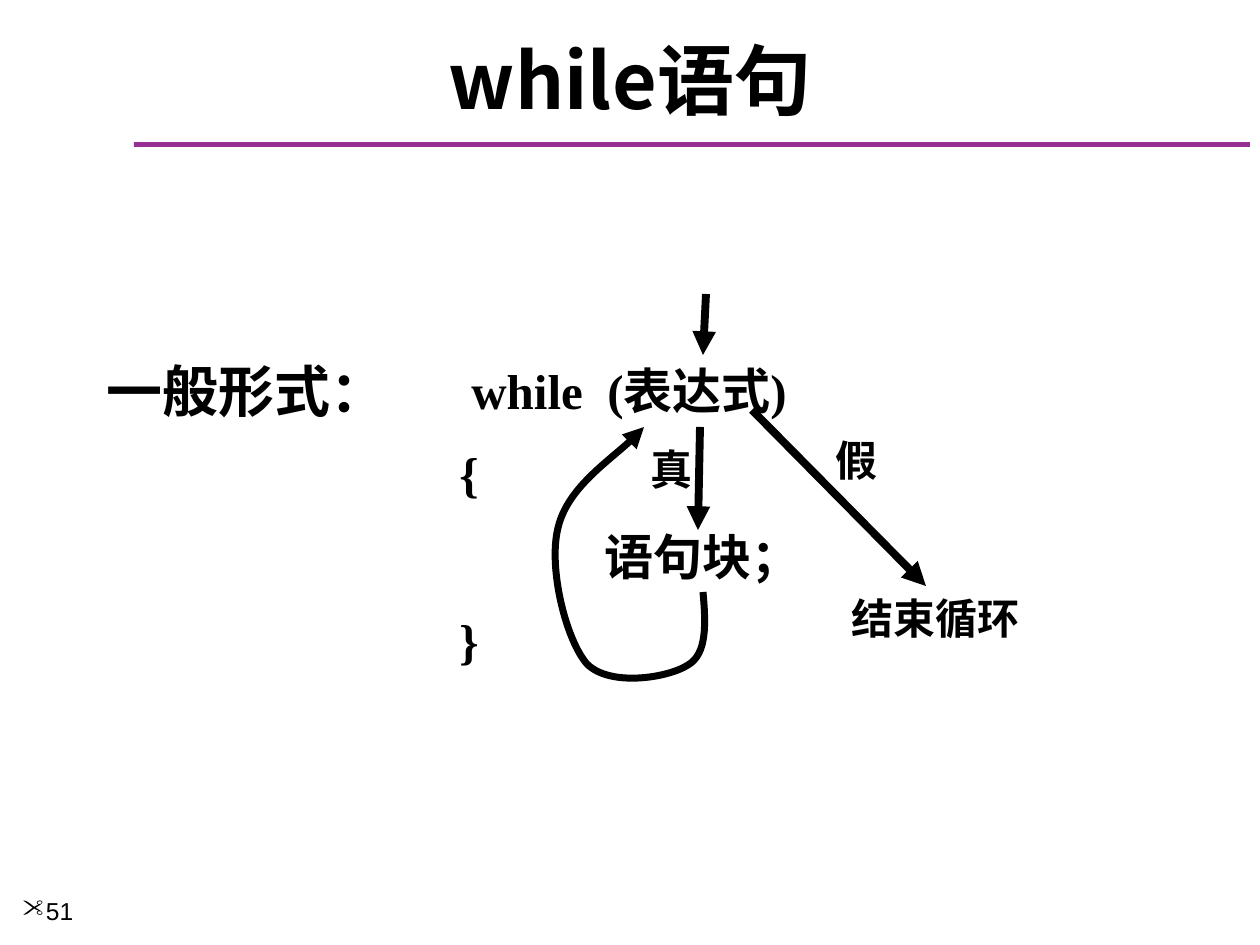
from dataclasses import dataclass

from lxml import etree
from pptx import Presentation
from pptx.dml.color import RGBColor
from pptx.enum.shapes import MSO_CONNECTOR, MSO_SHAPE
from pptx.enum.text import MSO_ANCHOR, PP_ALIGN
from pptx.oxml.ns import qn
from pptx.util import Pt

STRAIGHT = MSO_CONNECTOR.STRAIGHT
RECTANGLE = MSO_SHAPE.RECTANGLE
LEFT, CENTER = PP_ALIGN.LEFT, PP_ALIGN.CENTER
TOP, MIDDLE = MSO_ANCHOR.TOP, MSO_ANCHOR.MIDDLE
PX = 914400 / 126
BLACK, PURPLE, WHITE = "000000", "973095", "FFFFFF"
SERIF, SANS, CHINESE = "Times New Roman", "Arial", "Noto Sans CJK SC"
SYMBOLS = "Wingdings"


@dataclass
class Line:
    """One paragraph with its indent, optional tab stop in px and symbol bullet."""
    text: str
    indent: int = 0
    tab: int = 0
    bullet: str = ""


@dataclass
class Label:
    """A text box placed in px."""
    left: int
    top: int
    width: int
    height: int
    lines: list[Line]
    size: int
    font: str = SERIF
    bold: bool = True
    wrap: bool = False
    align: PP_ALIGN = LEFT
    anchor: MSO_ANCHOR = TOP


@dataclass
class Arrow:
    """A straight arrow between two points in px."""
    start: tuple[int, int]
    end: tuple[int, int]


LABELS = [
    Label(21, 32, 1218, 94, [Line("while语句")], 44, CHINESE,
          wrap=True, align=CENTER, anchor=MIDDLE),
    Label(10, 890, 136, 55, [Line("51", bullet='"')], 14, SANS,
          bold=False, wrap=True),
    Label(94, 350, 309, 81, [Line("一般形式：")], 32),
    Label(447, 354, 386, 339, [
        Line("while\t(表达式)", 12, 136),
        Line("{"),
        Line("语句块；", 145),
        Line("}"),
    ], 28, wrap=True),
    Label(823, 428, 68, 63, [Line("假")], 24),
    Label(839, 586, 194, 63, [Line("结束循环")], 24),
    Label(638, 437, 68, 63, [Line("真")], 24),
]
ARROWS = [
    Arrow((706, 294), (703, 355)),
    Arrow((752, 410), (926, 586)),
    Arrow((700, 427), (698, 530)),
]
LOOP = [
    (703, 592), (706, 624), (707, 654), (688, 665), (668, 678), (610, 687),
    (587, 664), (566, 640), (548, 568), (558, 528), (567, 489), (629, 446),
    (644, 427),
]


def emu(px: float) -> int:
    """Turn px into EMU."""
    return round(px * PX)


def color(value: str) -> RGBColor:
    """Turn a hex string into a colour."""
    return RGBColor.from_string(value)


def style_line(shape, width: float) -> None:
    """Give a black line that ends in a triangle."""
    shape.line.color.rgb = color(BLACK)
    shape.line.width = Pt(width)
    etree.SubElement(shape.line._get_or_add_ln(), qn("a:tailEnd"), type="triangle")


def add_label(page, label: Label) -> None:
    """Draw a text box with its paragraphs."""
    box = page.shapes.add_textbox(
        emu(label.left), emu(label.top), emu(label.width), emu(label.height))
    frame = box.text_frame
    frame.word_wrap = label.wrap
    frame.vertical_anchor = label.anchor
    for index, line in enumerate(label.lines):
        para = frame.add_paragraph() if index else frame.paragraphs[0]
        para.alignment = label.align
        if index:
            para.space_before = Pt(label.size / 2)
        properties = para._p.get_or_add_pPr()
        properties.set("marL", str(emu(line.indent)))
        if line.bullet:
            etree.SubElement(properties, qn("a:buFont"), typeface=SYMBOLS, charset="2")
            etree.SubElement(properties, qn("a:buChar"), char=line.bullet)
        if line.tab:
            tabs = etree.SubElement(properties, qn("a:tabLst"))
            etree.SubElement(tabs, qn("a:tab"), pos=str(emu(line.tab)), algn="l")
        span = para.add_run()
        span.text = line.text
        span.font.name = label.font
        span.font.size = Pt(label.size)
        span.font.bold = label.bold
        span.font.color.rgb = color(BLACK)
        etree.SubElement(span.font._element, qn("a:ea"), typeface=CHINESE)


def add_arrow(page, arrow: Arrow) -> None:
    """Draw a straight arrow."""
    points = [emu(value) for value in (*arrow.start, *arrow.end)]
    connector = page.shapes.add_connector(STRAIGHT, *points)
    style_line(connector, 4.5)
    etree.SubElement(connector._element.spPr, qn("a:effectLst"))


def add_loop(page, points: list[tuple[int, int]]) -> None:
    """Draw a curved arrow through cubic segments."""
    builder = page.shapes.build_freeform(*points[0], scale=PX)
    builder.add_line_segments(points[1:], close=False)
    curve = builder.convert_to_shape()
    curve.shadow.inherit = False
    curve.fill.background()
    style_line(curve, 4)
    steps = list(curve._element.iter(qn("a:lnTo")))
    for first in range(0, len(steps), 3):
        group = steps[first:first + 3]
        segment = etree.Element(qn("a:cubicBezTo"))
        group[0].addprevious(segment)
        for step in group:
            segment.append(step[0])
            step.getparent().remove(step)


def add_rule(page) -> None:
    """Draw the bar under the title."""
    bar = page.shapes.add_shape(RECTANGLE, emu(134), emu(142), emu(1116), emu(5))
    bar.shadow.inherit = False
    bar.fill.solid()
    bar.fill.fore_color.rgb = color(PURPLE)
    bar.line.fill.background()


def main() -> None:
    """Build and save the deck."""
    deck = Presentation()
    deck.slide_width, deck.slide_height = emu(1260), emu(945)
    page = deck.slides.add_slide(deck.slide_layouts[6])
    page.background.fill.solid()
    page.background.fill.fore_color.rgb = color(WHITE)
    add_rule(page)
    for label in LABELS:
        add_label(page, label)
    for arrow in ARROWS:
        add_arrow(page, arrow)
    add_loop(page, LOOP)
    deck.save("out.pptx")


if __name__ == "__main__":
    main()
